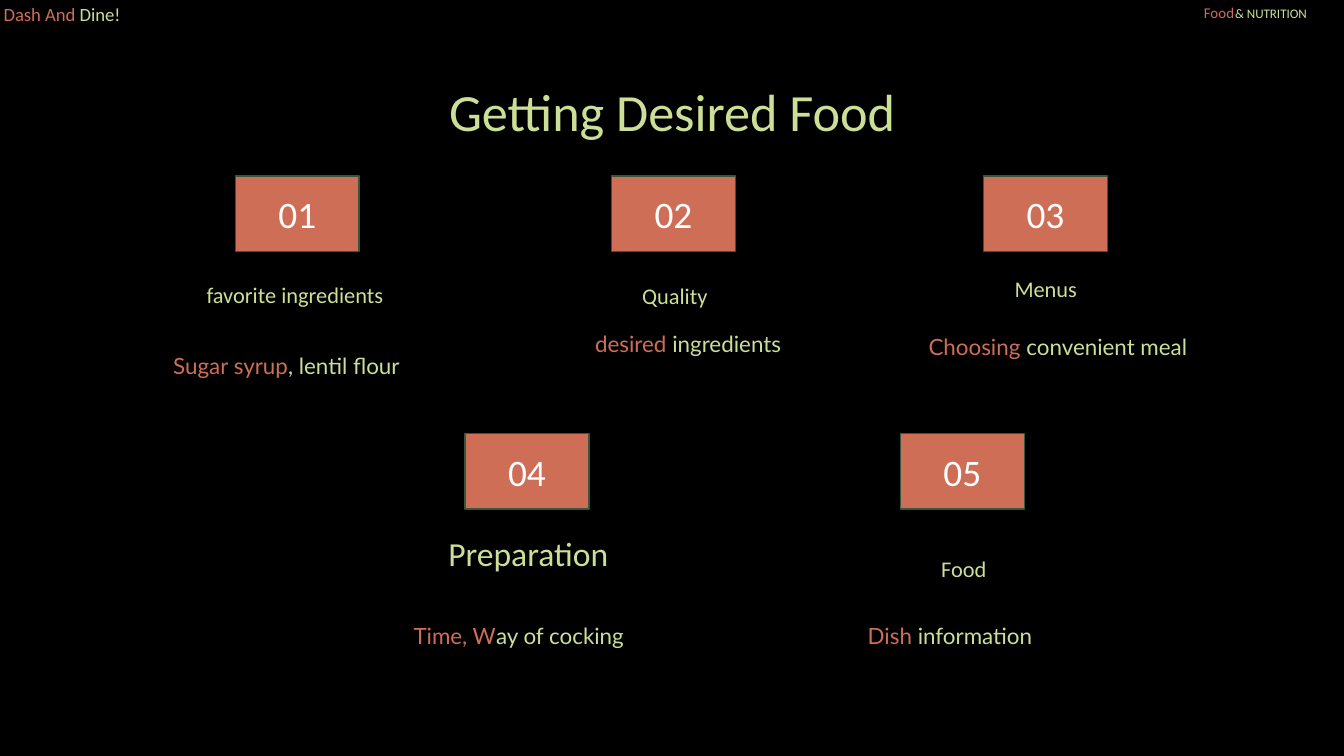
"""Build the five-step food slide."""
from pptx import Presentation
from pptx.dml.color import RGBColor
from pptx.enum.shapes import MSO_SHAPE
from pptx.enum.text import MSO_ANCHOR, MSO_AUTO_SIZE, PP_ALIGN
from pptx.util import Cm, Pt

BLACK, CORAL, GREEN, FOREST, WHITE = "000000", "CF6E56", "CCDF96", "38563C", "FFFFFF"
TOP, MIDDLE = MSO_ANCHOR.TOP, MSO_ANCHOR.MIDDLE
BADGE_SIZE = (2.34, 1.42)
DETAIL_SIZE = (6.25, 1.6)

STEPS = [
    {"badge": (4.45, 3.33),
     "heading": ("favorite ingredients", (1.6, 4.93, 7.95, 1.27), 12, MIDDLE),
     "detail": ("Sugar syrup", ", lentil flour", (2.29, 6.4))},
    {"badge": (11.56, 3.33),
     "heading": ("Quality", (9.63, 4.95, 6.25, 1.27), 12, MIDDLE),
     "detail": ("desired ", "ingredients", (9.88, 5.99))},
    {"badge": (18.59, 3.33),
     "heading": ("Menus", (16.64, 4.95, 6.25, 1.27), 12, TOP),
     "detail": ("Choosing ", "convenient meal", (16.87, 6.05))},
    {"badge": (8.79, 8.2),
     "heading": ("Preparation", (6.86, 9.83, 6.25, 1.27), 18, TOP),
     "detail": ("Time, W", "ay of cocking", (6.68, 11.51))},
    {"badge": (17.02, 8.2),
     "heading": ("Food", (15.09, 10.24, 6.25, 1.27), 12, TOP),
     "detail": ("Dish ", "information", (14.83, 11.51))},
]


def color(value):
    return RGBColor.from_string(value)


class SlideBuilder:
    def __init__(self, presentation):
        self.slide = presentation.slides.add_slide(presentation.slide_layouts[5])
        background = self.slide.background.fill
        background.solid()
        background.fore_color.rgb = color(BLACK)
        margins = ("margin_left", "margin_top", "margin_right", "margin_bottom")
        self.frame_format = dict.fromkeys(margins, Cm(0.25))
        self.frame_format.update(word_wrap=True, auto_size=MSO_AUTO_SIZE.NONE)

    def fill_text(self, shape, runs, font_name="Calibri", anchor=TOP,
                  alignment=PP_ALIGN.CENTER, space_after=0):
        frame = shape.text_frame
        for name, value in {**self.frame_format, "vertical_anchor": anchor}.items():
            setattr(frame, name, value)
        paragraph = frame.paragraphs[0]
        paragraph_format = {"alignment": alignment, "space_after": Pt(space_after)}
        for name, value in paragraph_format.items():
            setattr(paragraph, name, value)
        for text, size, text_color in runs:
            run = paragraph.add_run()
            run.text = text
            for name, value in {"name": font_name, "size": Pt(size)}.items():
                setattr(run.font, name, value)
            run.font.color.rgb = color(text_color)

    def title(self, text, box):
        shape = self.slide.shapes.title
        for name, value in zip(("left", "top", "width", "height"), box):
            setattr(shape, name, Cm(value))
        self.fill_text(shape, [(text, 28, GREEN)])

    def text(self, runs, box, **style):
        shape = self.slide.shapes.add_textbox(*map(Cm, box))
        self.fill_text(shape, runs, **style)

    def badge(self, number, position):
        box = map(Cm, position + BADGE_SIZE)
        shape = self.slide.shapes.add_shape(MSO_SHAPE.RECTANGLE, *box)
        shape.shadow.inherit = False
        shape.fill.solid()
        shape.fill.fore_color.rgb = color(CORAL)
        shape.line.color.rgb = color(FOREST)
        shape.line.width = Pt(0.75)
        self.fill_text(shape, [(f"{number:02}", 20, WHITE)], anchor=MIDDLE)

    def step(self, number, badge, heading, detail):
        self.badge(number, badge)
        text, box, size, anchor = heading
        self.text([(text, size, GREEN)], box, anchor=anchor)
        accent, rest, position = detail
        self.text([(accent, 12, CORAL), (rest, 12, GREEN)], position + DETAIL_SIZE,
                  font_name="Lato", space_after=12)


def main():
    presentation = Presentation()
    presentation.slide_width = Cm(25.4)
    presentation.slide_height = Cm(14.29)
    builder = SlideBuilder(presentation)
    builder.title("Getting Desired Food", (1.93, 1.24, 21.54, 1.6))
    for number, step in enumerate(STEPS, start=1):
        builder.step(number, **step)
    builder.text([("Food", 8, CORAL), (" ", 2, FOREST), ("& NUTRITION", 7, GREEN)],
                 (21.87, -0.18, 3.71, 0.58))
    builder.text([("Dash And ", 10, CORAL), ("Dine!", 10, GREEN)],
                 (-0.18, -0.2, 3.63, 0.69), alignment=PP_ALIGN.LEFT)
    presentation.save("out.pptx")


if __name__ == "__main__":
    main()
